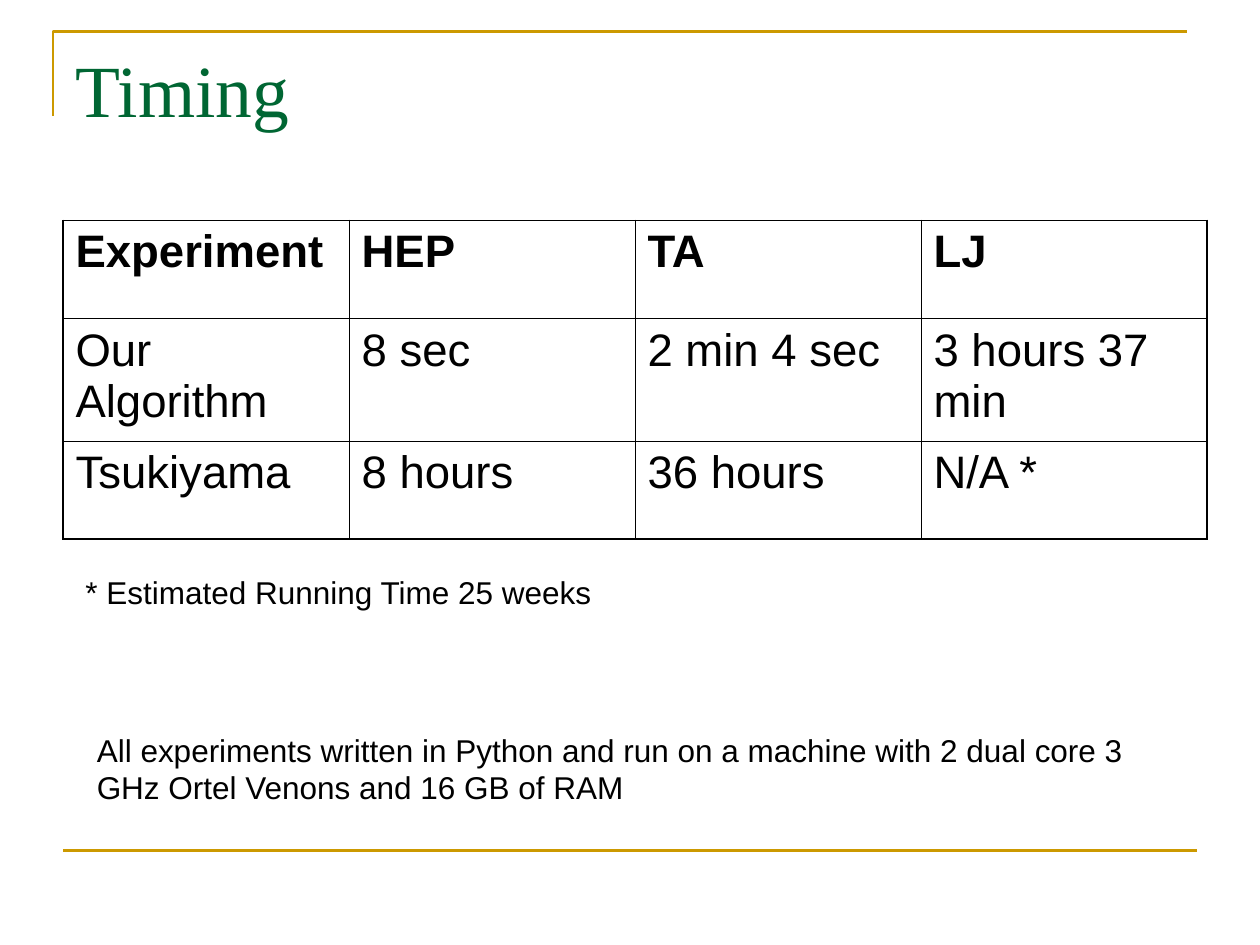
from lxml import etree
from pptx import Presentation
from pptx.dml.color import RGBColor
from pptx.enum.shapes import MSO_CONNECTOR
from pptx.enum.text import MSO_ANCHOR, MSO_AUTO_SIZE, PP_ALIGN
from pptx.oxml.ns import qn
from pptx.util import Inches, Pt

GOLD = RGBColor(0xCC, 0x99, 0x00)
GREEN = RGBColor(0x00, 0x66, 0x33)
BLACK = RGBColor(0x00, 0x00, 0x00)
WHITE = RGBColor(0xFF, 0xFF, 0xFF)

STRAIGHT = MSO_CONNECTOR.STRAIGHT
TOP = MSO_ANCHOR.TOP
LEFT = PP_ALIGN.LEFT
GROW = MSO_AUTO_SIZE.SHAPE_TO_FIT_TEXT
FIXED = MSO_AUTO_SIZE.NONE

TITLE_ONLY_LAYOUT = 5
RULE_WIDTH = Pt(1.5)
OUTER_BORDER = Pt(1.08)
INNER_BORDER = Pt(0.45)

TIMINGS = [
    ["Experiment", "HEP", "TA", "LJ"],
    ["Our Algorithm", "8 sec", "2 min 4 sec", "3 hours 37 min"],
    ["Tsukiyama", "8 hours", "36 hours", "N/A *"],
]
ROW_HEIGHTS = [0.78, 0.97, 0.78]
COLUMN_WIDTH = 2.27


class SlideBuilder:
    """Holds the text style and the slide being built."""

    def __init__(self, slide, body_font="Arial", title_font="Times New Roman"):
        self.slide = slide
        self.body_font = body_font
        self.title_font = title_font

    def add_text(self, text_frame, text, font_name, size, color, bold=False, space_before=0):
        paragraph = text_frame.paragraphs[0]
        paragraph.alignment = LEFT
        paragraph.space_before = Pt(space_before)
        run = paragraph.add_run()
        run.text = text
        font = run.font
        font.name = font_name
        font.size = Pt(size)
        font.bold = bold
        font.color.rgb = color

    def title(self, text, left, top, width, height):
        shape = self.slide.shapes.title
        shape.left, shape.top = Inches(left), Inches(top)
        shape.width, shape.height = Inches(width), Inches(height)
        text_frame = shape.text_frame
        text_frame.vertical_anchor = TOP
        text_frame.auto_size = FIXED
        self.add_text(text_frame, text, self.title_font, 42, GREEN)

    def corner_rule(self, left, top, right, bottom):
        """Draws an open path along the left and top edges."""
        builder = self.slide.shapes.build_freeform(Inches(left), Inches(bottom))
        corners = [(Inches(left), Inches(top)), (Inches(right), Inches(top))]
        builder.add_line_segments(corners, close=False)
        shape = builder.convert_to_shape()
        shape.shadow.inherit = False
        shape.fill.background()
        shape.line.color.rgb = GOLD
        shape.line.width = RULE_WIDTH

    def horizontal_rule(self, left, right, top):
        connector = self.slide.shapes.add_connector(
            STRAIGHT, Inches(left), Inches(top), Inches(right), Inches(top))
        connector.line.color.rgb = GOLD
        connector.line.width = RULE_WIDTH
        etree.SubElement(connector.element.spPr, qn("a:effectLst"))

    def note(self, text, left, top, width, height):
        shape = self.slide.shapes.add_textbox(
            Inches(left), Inches(top), Inches(width), Inches(height))
        text_frame = shape.text_frame
        text_frame.word_wrap = True
        text_frame.auto_size = GROW
        self.add_text(text_frame, text, self.body_font, 18, BLACK, space_before=11.2)

    def cell_borders(self, cell, outer_edges):
        """Puts a line on all four edges, heavier where the edge is in outer_edges."""
        properties = cell._tc.get_or_add_tcPr()
        for position, edge in enumerate("LRTB"):
            width = OUTER_BORDER if edge in outer_edges else INNER_BORDER
            line = etree.Element(qn(f"a:ln{edge}"), w=str(int(width)))
            fill = etree.SubElement(line, qn("a:solidFill"))
            etree.SubElement(fill, qn("a:srgbClr"), val=str(BLACK))
            properties.insert(position, line)

    def table(self, rows, left, top, column_width, row_heights):
        row_count, column_count = len(rows), len(rows[0])
        table = self.slide.shapes.add_table(
            row_count, column_count, Inches(left), Inches(top),
            Inches(column_width * column_count), Inches(sum(row_heights))).table
        table.horz_banding = False
        for column in table.columns:
            column.width = Inches(column_width)
        for row_index, values in enumerate(rows):
            table.rows[row_index].height = Inches(row_heights[row_index])
            for column_index, value in enumerate(values):
                cell = table.cell(row_index, column_index)
                cell.fill.solid()
                cell.fill.fore_color.rgb = WHITE
                cell.vertical_anchor = TOP
                self.add_text(cell.text_frame, value, self.body_font, 26, BLACK,
                              bold=row_index == 0, space_before=6.5)
                on_outside = {
                    "L": column_index == 0,
                    "R": column_index == column_count - 1,
                    "T": row_index == 0,
                    "B": row_index == row_count - 1,
                }
                self.cell_borders(cell, [edge for edge in on_outside if on_outside[edge]])


def main():
    presentation = Presentation()
    presentation.slide_width = Inches(10)
    presentation.slide_height = Inches(7.5)
    layout = presentation.slide_layouts[TITLE_ONLY_LAYOUT]
    builder = SlideBuilder(presentation.slides.add_slide(layout))

    builder.corner_rule(0.42, 0.25, 9.42, 0.92)
    builder.horizontal_rule(0.5, 9.5, 6.75)
    builder.title("Timing", 0.5, 0.3, 9, 1.25)
    builder.table(TIMINGS, 0.5, 1.75, COLUMN_WIDTH, ROW_HEIGHTS)
    builder.note("* Estimated Running Time 25 weeks", 0.58, 4.5, 9.17, 0.4)
    builder.note("All experiments written in Python and run on a machine with "
                 "2 dual core 3 GHz Ortel Venons and 16 GB of RAM",
                 0.67, 5.75, 8.83, 0.7)
    presentation.save("out.pptx")


if __name__ == "__main__":
    main()
